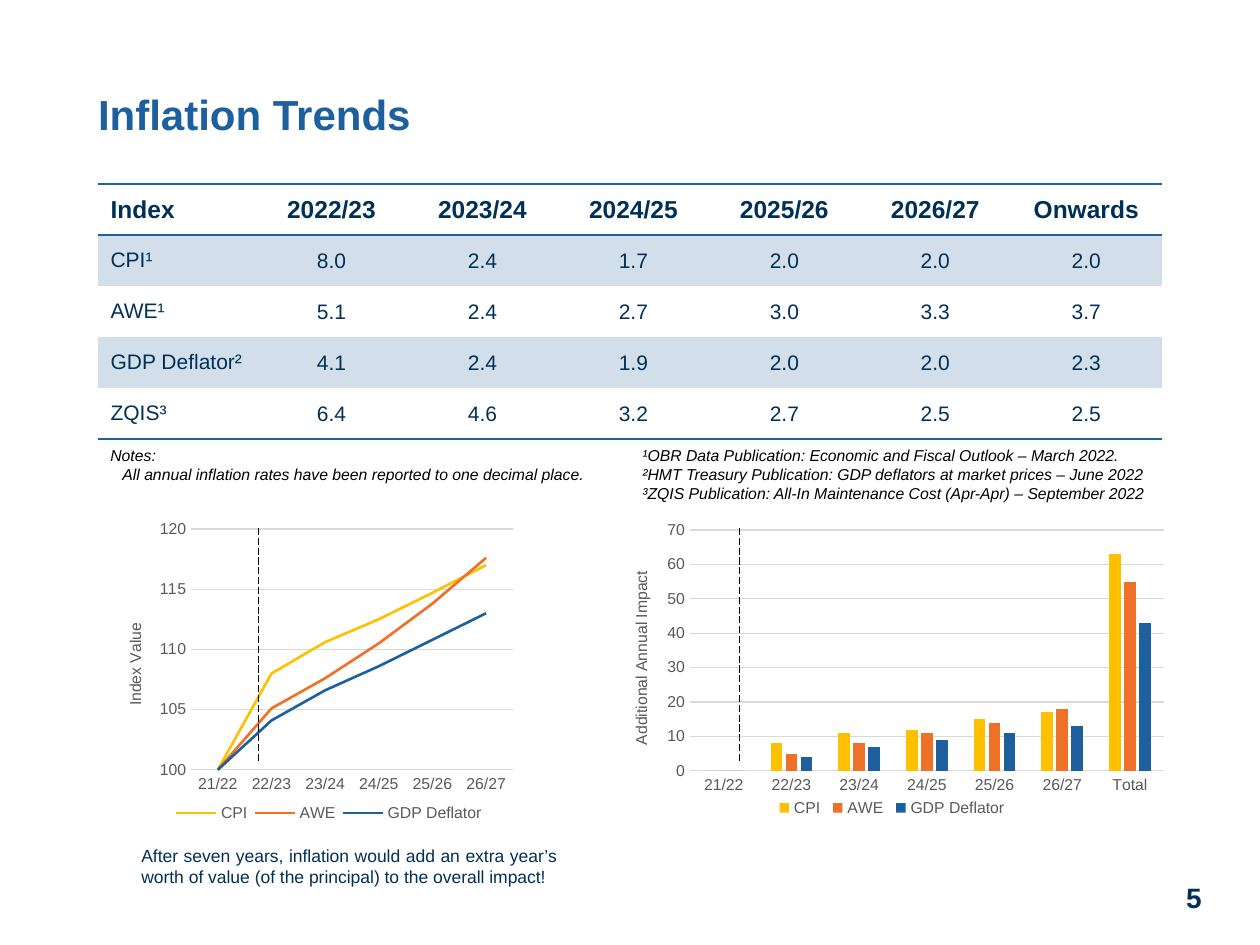
from dataclasses import dataclass

from lxml import etree
from pptx import Presentation
from pptx import util as u
from pptx.chart.data import CategoryChartData
from pptx.dml.color import RGBColor
from pptx.enum import chart as charts
from pptx.enum import dml, shapes, text
from pptx.oxml.ns import qn

PX_PER_INCH = 126


@dataclass(frozen=True)
class Theme:
    font: str = "Arial"
    blue: str = "1D609D"
    navy: str = "003057"
    black: str = "000000"
    band: str = "D2DFEB"
    label: str = "595959"
    grid: str = "D9D9D9"
    series: tuple = ("FFC000", "EE7127", "1D609D")
    title: int = 24
    page: int = 16
    header: int = 14
    cell: int = 12
    body: int = 10
    small: int = 9


THEME = Theme()
ALIGN = text.PP_ALIGN

RATES = [
    ["Index", "2022/23", "2023/24", "2024/25", "2025/26", "2026/27", "Onwards"],
    ["CPI¹", "8.0", "2.4", "1.7", "2.0", "2.0", "2.0"],
    ["AWE¹", "5.1", "2.4", "2.7", "3.0", "3.3", "3.7"],
    ["GDP Deflator²", "4.1", "2.4", "1.9", "2.0", "2.0", "2.3"],
    ["ZQIS³", "6.4", "4.6", "3.2", "2.7", "2.5", "2.5"],
]
YEARS = ["21/22", "22/23", "23/24", "24/25", "25/26", "26/27"]
INDEX_VALUES = {
    "CPI": [100, 108, 110.6, 112.5, 114.7, 117],
    "AWE": [100, 105.1, 107.6, 110.5, 113.8, 117.6],
    "GDP Deflator": [100, 104.1, 106.6, 108.6, 110.8, 113],
}
ANNUAL_IMPACT = {
    "CPI": [0, 8, 11, 12, 15, 17, 63],
    "AWE": [0, 5, 8, 11, 14, 18, 55],
    "GDP Deflator": [0, 4, 7, 9, 11, 13, 43],
}


def px(*lengths):
    return [u.Emu(round(n * u.Inches(1) / PX_PER_INCH)) for n in lengths]


def style_font(font, size, color, **flags):
    values = {"name": THEME.font, "size": u.Pt(size), **flags}
    for name, value in values.items():
        setattr(font, name, value)
    font.color.rgb = RGBColor.from_string(color)


def style_line(line, color, width):
    line.color.rgb = RGBColor.from_string(color)
    line.width = u.Pt(width)


def set_insets(target, *sides):
    for side, inset in zip(("left", "top", "right", "bottom"), px(*sides)):
        setattr(target, f"margin_{side}", inset)


def add_title(slide, words):
    title = slide.shapes.title
    title.left, title.top, title.width, title.height = px(98, 93, 1064, 48)
    set_insets(title.text_frame, 0, 0, 0, 0)
    title.text_frame.vertical_anchor = text.MSO_ANCHOR.MIDDLE
    paragraph = title.text_frame.paragraphs[0]
    paragraph.text = words
    paragraph.alignment = ALIGN.LEFT
    paragraph.line_spacing = 0.9
    style_font(paragraph.font, THEME.title, THEME.blue, bold=True)


def add_text(slide, box, lines, size, color, align=ALIGN.LEFT, **flags):
    frame = slide.shapes.add_textbox(*px(*box)).text_frame
    frame.word_wrap = True
    for i, line in enumerate(lines):
        paragraph = frame.add_paragraph() if i else frame.paragraphs[0]
        paragraph.text = line
        paragraph.alignment = align
        style_font(paragraph.font, size, color, **flags)
    return frame


def add_cell_rules(cell, tags):
    """Draw rules on the sides given, in the order lnT, lnB."""
    for tag in reversed(tags):
        rule = etree.Element(qn(f"a:{tag}"), w=str(u.Pt(1)))
        fill = etree.SubElement(rule, qn("a:solidFill"))
        etree.SubElement(fill, qn("a:srgbClr"), val=THEME.blue)
        cell._tc.get_or_add_tcPr().insert(0, rule)


def add_rates_table(slide, rows):
    last = len(rows) - 1
    table = slide.shapes.add_table(
        len(rows), len(rows[0]), *px(98, 184, 1064, 255)).table
    table.first_row = table.horz_banding = False
    style_id = table._tbl.tblPr.find(qn("a:tableStyleId"))
    style_id.text = "{2D5ABB26-0587-4C30-8999-92F81FD0307C}"
    for c, column in enumerate(table.columns):
        column.width = px(151 if c else 158)[0]
    for r, values in enumerate(rows):
        table.rows[r].height = px(51)[0]
        for c, value in enumerate(values):
            cell = table.cell(r, c)
            cell.vertical_anchor = text.MSO_ANCHOR.MIDDLE
            if r and c:
                set_insets(cell, 1, 1, 1, 0)
            paragraph = cell.text_frame.paragraphs[0]
            paragraph.text = value
            paragraph.alignment = ALIGN.CENTER if c else ALIGN.LEFT
            style_font(paragraph.font, THEME.cell if r else THEME.header,
                       THEME.navy, bold=r == 0)
            if r % 2:
                cell.fill.solid()
                cell.fill.fore_color.rgb = RGBColor.from_string(THEME.band)
            else:
                cell.fill.background()
            add_cell_rules(cell, {0: ["lnT", "lnB"], last: ["lnB"]}.get(r, []))


def place(part, frame, box, inner=False):
    """Fix a chart part at a slide position; a box without size sets x and y only."""
    for old in part.findall(qn("c:layout")):
        part.remove(old)
    layout = etree.Element(qn("c:layout"))
    manual = etree.SubElement(layout, qn("c:manualLayout"))
    left, top, width, height = frame
    fractions = [(box[0] - left) / width, (box[1] - top) / height]
    if len(box) == 4:
        fractions += [box[2] / width, box[3] / height]
    settings = [("layoutTarget", "inner")] if inner else []
    settings += [("xMode", "edge"), ("yMode", "edge")]
    settings += [(key, f"{value:.4f}") for key, value in zip("xywh", fractions)]
    for key, value in settings:
        etree.SubElement(manual, qn(f"c:{key}"), val=value)
    before = [e for e in part if e.tag in (qn("c:tx"), qn("c:legendPos"))]
    part.insert(len(before), layout)


def style_value_axis(axis, frame, title, title_at, limits):
    for name, value in zip(("minimum_scale", "maximum_scale", "major_unit"), limits):
        setattr(axis, name, value)
    axis.format.line.fill.background()
    style_line(axis.major_gridlines.format.line, THEME.grid, 0.75)
    caption = axis.axis_title.text_frame
    caption.text = title
    style_font(caption.paragraphs[0].runs[0].font, THEME.small, THEME.label, bold=False)
    for name, value in {"rot": "-5400000", "vert": "horz"}.items():
        caption._txBody.bodyPr.set(name, value)
    place(axis.axis_title._element, frame, title_at)


def add_trend_chart(slide, kind, frame, plot_box, categories, series,
                    axis_title, title_at, limits, legend_box):
    data = CategoryChartData()
    data.categories = categories
    for name, values in series.items():
        data.add_series(name, values)
    chart = slide.shapes.add_chart(kind, *px(*frame), data).chart
    chart.has_title = False
    style_font(chart.font, THEME.small, THEME.label)
    place(chart._chartSpace.chart.plotArea, frame, plot_box, inner=True)
    for axis in (chart.category_axis, chart.value_axis):
        axis.major_tick_mark = axis.minor_tick_mark = charts.XL_TICK_MARK.NONE
        style_font(axis.tick_labels.font, THEME.small, THEME.label)
    style_line(chart.category_axis.format.line, THEME.grid, 0.75)
    style_value_axis(chart.value_axis, frame, axis_title, title_at, limits)
    chart.has_legend = True
    chart.legend.position = charts.XL_LEGEND_POSITION.BOTTOM
    chart.legend.include_in_layout = False
    style_font(chart.legend.font, THEME.small, THEME.label)
    place(chart.legend._element, frame, legend_box)
    plot = chart.plots[0]
    plot.vary_by_categories = False
    for entry, color in zip(plot.series, THEME.series):
        if kind == charts.XL_CHART_TYPE.LINE:
            entry.smooth = False
            style_line(entry.format.line, color, 1.5)
        else:
            entry.format.fill.solid()
            entry.format.fill.fore_color.rgb = RGBColor.from_string(color)
    return plot


def add_base_year_marker(slide, x):
    marker = slide.shapes.add_connector(
        shapes.MSO_CONNECTOR.STRAIGHT, *px(x, 528, x, 761))
    style_line(marker.line, THEME.black, 0.5)
    marker.line.dash_style = dml.MSO_LINE.LONG_DASH
    etree.SubElement(marker._element.spPr, qn("a:effectLst"))


def main():
    deck = Presentation()
    deck.slide_width, deck.slide_height = px(1260, 945)
    slide = deck.slides.add_slide(deck.slide_layouts[5])

    add_title(slide, "Inflation Trends")
    add_rates_table(slide, RATES)
    page = add_text(slide, (1175, 881, 38, 35), ["5"], THEME.page, THEME.navy,
                    ALIGN.CENTER, bold=True)
    set_insets(page, 0, 0, 0, 0)

    notes = add_text(slide, (98, 440, 532, 52), [
        "Notes:",
        "All annual inflation rates have been reported to one decimal place.",
    ], THEME.small, THEME.black, italic=True)
    notes.paragraphs[1]._p.get_or_add_pPr().set("marL", str(px(12)[0]))
    add_text(slide, (630, 440, 532, 71), [
        "¹OBR Data Publication: Economic and Fiscal Outlook – March 2022.",
        "²HMT Treasury Publication: GDP deflators at market prices – June 2022",
        "³ZQIS Publication: All-In Maintenance Cost (Apr-Apr) – September 2022",
    ], THEME.small, THEME.black, italic=True)

    add_trend_chart(slide, charts.XL_CHART_TYPE.LINE, (98, 514, 423, 324),
                    (191, 529, 322, 241), YEARS, INDEX_VALUES,
                    "Index Value", (122, 620), (100, 120, 5), (169, 801, 320, 24))
    add_base_year_marker(slide, 258)
    columns = add_trend_chart(
        slide, charts.XL_CHART_TYPE.COLUMN_CLUSTERED, (606, 515, 570, 324),
        (690, 530, 474, 241), YEARS + ["Total"], ANNUAL_IMPACT,
        "Additional Annual Impact", (628, 568), (0, 70, 10), (772, 796, 240, 24))
    columns.gap_width, columns.overlap = 219, -27
    add_base_year_marker(slide, 739)

    add_text(slide, (129, 839, 440, 55), [
        "After seven years, inflation would add an extra year’s worth of value "
        "(of the principal) to the overall impact!",
    ], THEME.body, THEME.navy, ALIGN.JUSTIFY)
    deck.save("out.pptx")


if __name__ == "__main__":
    main()
